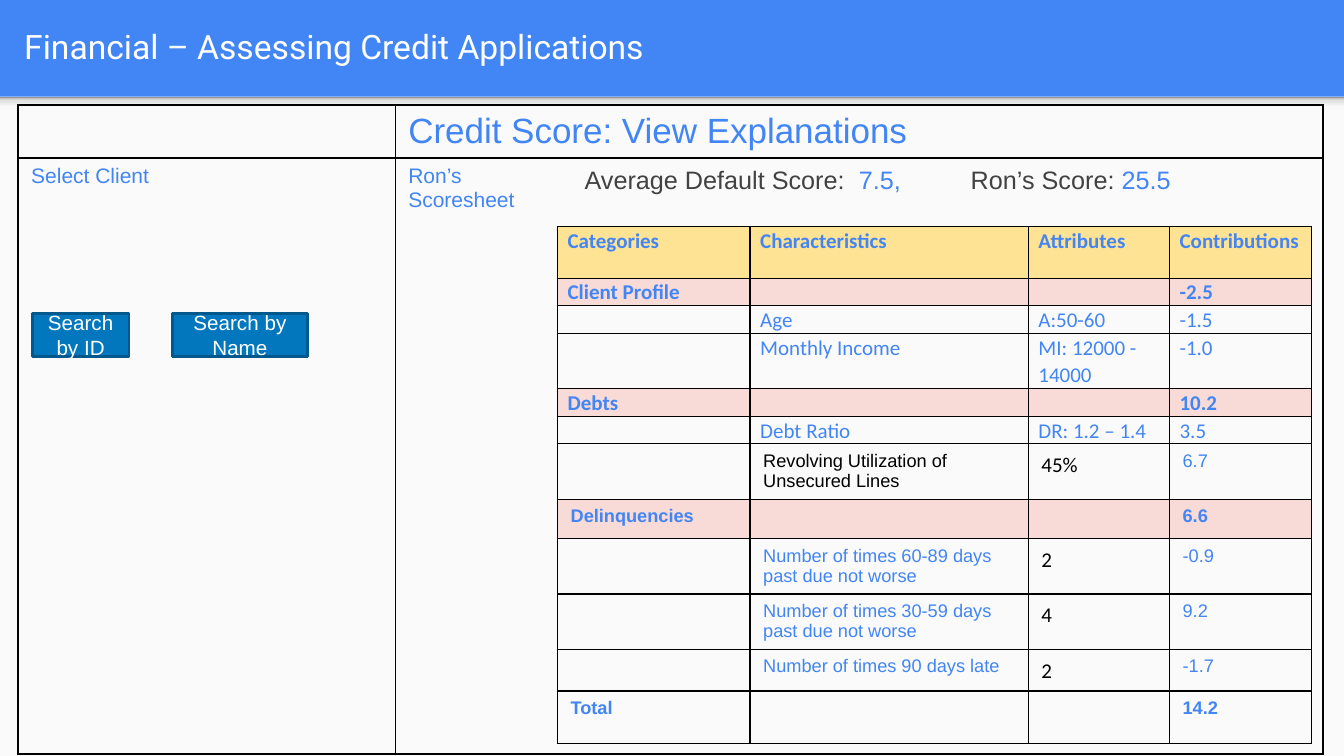
from pptx import Presentation
from pptx.dml.color import RGBColor
from pptx.enum.shapes import MSO_SHAPE
from pptx.enum.text import MSO_ANCHOR, PP_ALIGN
from pptx.oxml import parse_xml
from pptx.util import Inches, Pt

RECTANGLE = MSO_SHAPE.RECTANGLE
MIDDLE = MSO_ANCHOR.MIDDLE
LEFT, CENTER = PP_ALIGN.LEFT, PP_ALIGN.CENTER
NAMESPACE = 'xmlns:a="http://schemas.openxmlformats.org/drawingml/2006/main"'

WIDTH, HEIGHT, BANNER = 13.33, 7.5, 0.96
BLUE, BLACK, WHITE, GREY = "4285F4", "000000", "FFFFFF", "424242"
PAPER, YELLOW, PINK = "FAFAFA", "FFE395", "F8DAD7"
BUTTON, BUTTON_EDGE = "0277BD", "01588C"
SHADOW_STOPS = [(0, "F9F9F9"), (36, "F9F9F9"), (80, "DEDEDE"), (100, "999999")]

TITLE = "Financial – Assessing Credit Applications"
FRAME_COLUMNS, FRAME_ROWS = [3.74, 9.2], [0.52, 5.91]
FRAME = [
    [("", 15), ("Credit Score: View Explanations", 25)],
    [("Select Client", 15), ("Ron’s\nScoresheet", 15)],
]
BUTTONS = [("Search by ID", 0.32, 0.96), ("Search by Name", 1.71, 1.34)]
SCORES = [("Average Default Score:  ", GREY), ("7.5,\t", BLUE),
          ("Ron’s Score: ", GREY), ("25.5", BLUE)]
SCORE_COLUMNS = [1.91, 2.76, 1.4, 1.41]
SCORE_SHEET = [  # row height, then the four cells
    (0.51, "Categories", "Characteristics", "Attributes", "Contributions"),
    (0.27, "Client Profile", "", "", "-2.5"),
    (0.27, "", "Age", "A:50-60", "-1.5"),
    (0.55, "", "Monthly Income", "MI: 12000 - 14000", "-1.0"),
    (0.27, "Debts", "", "", "10.2"),
    (0.27, "", "Debt Ratio", "DR: 1.2 – 1.4", "3.5"),
    (0.55, "", "Revolving Utilization of Unsecured Lines", "45%", "6.7"),
    (0.39, "Delinquencies", "", "", "6.6"),
    (0.55, "", "Number of times 60-89 days past due not worse", "2", "-0.9"),
    (0.55, "", "Number of times 30-59 days past due not worse", "4", "9.2"),
    (0.41, "", "Number of times 90 days late", "2", "-1.7"),
    (0.52, "Total", "", "", "14.2"),
]
FIRST_ROOMY_ROW = 6
ATTRIBUTES = 2
BLACK_LABEL = "Revolving Utilization of Unsecured Lines"


def color(code):
    """Turn a hex string into a colour."""
    return RGBColor.from_string(code)


def style(font, size, code, name="Arial", bold=False):
    """Set the look of a paragraph's or run's font."""
    font.size, font.name, font.bold = Pt(size), name, bold
    font.color.rgb = color(code)


def add_box(page, left, top, width, height, fill):
    """Add a plain filled rectangle without outline."""
    box = page.shapes.add_shape(RECTANGLE, *map(Inches, (left, top, width, height)))
    box.shadow.inherit = False
    box.fill.solid()
    box.fill.fore_color.rgb = color(fill)
    box.line.fill.background()
    return box


def add_banner_shadow(page):
    """Add the gradient strip under the title banner."""
    box = add_box(page, 0, BANNER, WIDTH, 0.16, PAPER)
    box.fill.gradient()
    box.fill.gradient_angle = 90
    stops = box.fill.gradient_stops
    stop_list = stops[0]._gs.getparent()
    for stop in list(stop_list):
        stop_list.remove(stop)
    for place, code in SHADOW_STOPS:
        stop_list.append(parse_xml(f'<a:gs {NAMESPACE} pos="{place * 1000}">'
                                   f'<a:srgbClr val="{code}"/></a:gs>'))


def add_grid(page, left, top, columns, rows):
    """Add an unstyled table with the given column widths and row heights."""
    frame = page.shapes.add_table(
        len(rows), len(columns),
        *map(Inches, (left, top, sum(columns), sum(rows))))
    table = frame.table
    table.first_row = table.horz_banding = False
    for column, width in zip(table.columns, columns):
        column.width = Inches(width)
    for row, height in zip(table.rows, rows):
        row.height = Inches(height)
    return table


def fill_cell(cell, text, margins, edges, fill=None):
    """Write a cell's text, insets, fill and border widths (L, R, T, B)."""
    cell.text = text
    cell.margin_left = cell.margin_right = Inches(margins[0])
    cell.margin_top = cell.margin_bottom = Inches(margins[1])
    if fill:
        cell.fill.solid()
        cell.fill.fore_color.rgb = color(fill)
    else:
        cell.fill.background()
    properties = cell._tc.get_or_add_tcPr()
    for index, (side, width) in enumerate(zip("LRTB", edges)):
        properties.insert(index, parse_xml(
            f'<a:ln{side} {NAMESPACE} w="{Pt(width)}"><a:solidFill>'
            f'<a:srgbClr val="{BLACK}"/></a:solidFill></a:ln{side}>'))
    return cell.text_frame.paragraphs


def add_frame(page):
    """Add the outer two-by-two layout table."""
    table = add_grid(page, 0.18, 1.04, FRAME_COLUMNS, FRAME_ROWS)
    for r, row in enumerate(FRAME):
        for c, (text, size) in enumerate(row):
            edges = [1.5 if outer else 1 for outer in (c == 0, c == 1, r == 0, r == 1)]
            for para in fill_cell(table.cell(r, c), text, (0.13, 0.07), edges):
                style(para.font, size, BLUE)


def add_score_sheet(page):
    """Add the score sheet; the category rows are bold and tinted."""
    heights = [row[0] for row in SCORE_SHEET]
    table = add_grid(page, 5.53, 2.25, SCORE_COLUMNS, heights)
    last = len(SCORE_SHEET) - 1
    for r, (_, *texts) in enumerate(SCORE_SHEET):
        roomy, bold = r >= FIRST_ROOMY_ROW, bool(texts[0])
        fill = YELLOW if r == 0 else PINK if bold and r < last else None
        for c, text in enumerate(texts):
            margins = (0.13, 0.07) if roomy and text else (0.1, 0)
            calibri = not roomy or c == ATTRIBUTES
            dark = text == BLACK_LABEL or roomy and c == ATTRIBUTES
            edges = (1.5 if c == 1 else 1, 1.5 if c == 0 else 1, 1, 1)
            para = fill_cell(table.cell(r, c), text, margins, edges, fill)[0]
            style(para.font, 15 if calibri else 13, BLACK if dark else BLUE,
                  "Calibri" if calibri else "Arial", bold)
            if calibri:
                para.line_spacing = 1.07


def add_button(page, text, left, width):
    """Add a search button."""
    box = add_box(page, left, 3.11, width, 0.43, BUTTON)
    box.line.color.rgb = color(BUTTON_EDGE)
    box.line.width = Pt(2)
    box.text_frame.text = text
    box.text_frame.word_wrap = True
    box.text_frame.vertical_anchor = MIDDLE
    para = box.text_frame.paragraphs[0]
    para.alignment = CENTER
    style(para.font, 14.7, WHITE)


def add_scores(page):
    """Add the line with both scores, parted by a tab stop."""
    box = page.shapes.add_textbox(*map(Inches, (5.7, 1.58, 6.5, 0.4)))
    box.text_frame.word_wrap = True
    para = box.text_frame.paragraphs[0]
    para._p.get_or_add_pPr().append(parse_xml(
        f'<a:tabLst {NAMESPACE}><a:tab pos="{Inches(3.83)}" algn="l"/></a:tabLst>'))
    for text, code in SCORES:
        span = para.add_run()
        span.text = text
        style(span.font, 18, code)


def set_title(page):
    """Place and format the title on the banner."""
    title = page.shapes.title
    title.left, title.top, title.width, title.height = map(
        Inches, (0.14, 0.02, 12.87, 0.88))
    frame = title.text_frame
    frame.text = TITLE
    frame.vertical_anchor = MIDDLE
    frame.margin_left = frame.margin_right = Inches(0.1)
    para = frame.paragraphs[0]
    para.alignment = LEFT
    style(para.font, 24, WHITE, "Roboto")


deck = Presentation()
deck.slide_width, deck.slide_height = Inches(WIDTH), Inches(HEIGHT)
page = deck.slides.add_slide(deck.slide_layouts[5])
page.background.fill.solid()
page.background.fill.fore_color.rgb = color(BLUE)
set_title(page)
add_box(page, 0, BANNER, WIDTH, HEIGHT - BANNER, PAPER)
add_banner_shadow(page)
add_frame(page)
add_score_sheet(page)
for button in BUTTONS:
    add_button(page, *button)
add_scores(page)
deck.save("out.pptx")
